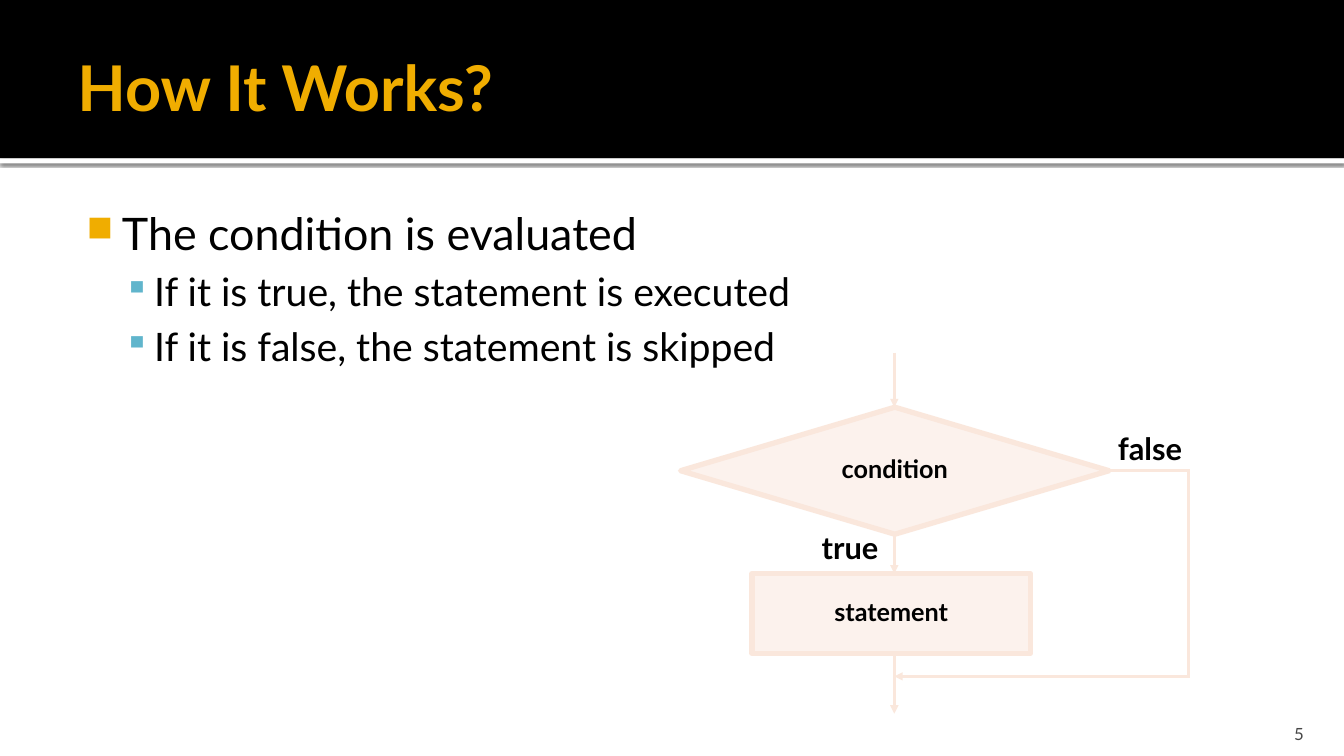
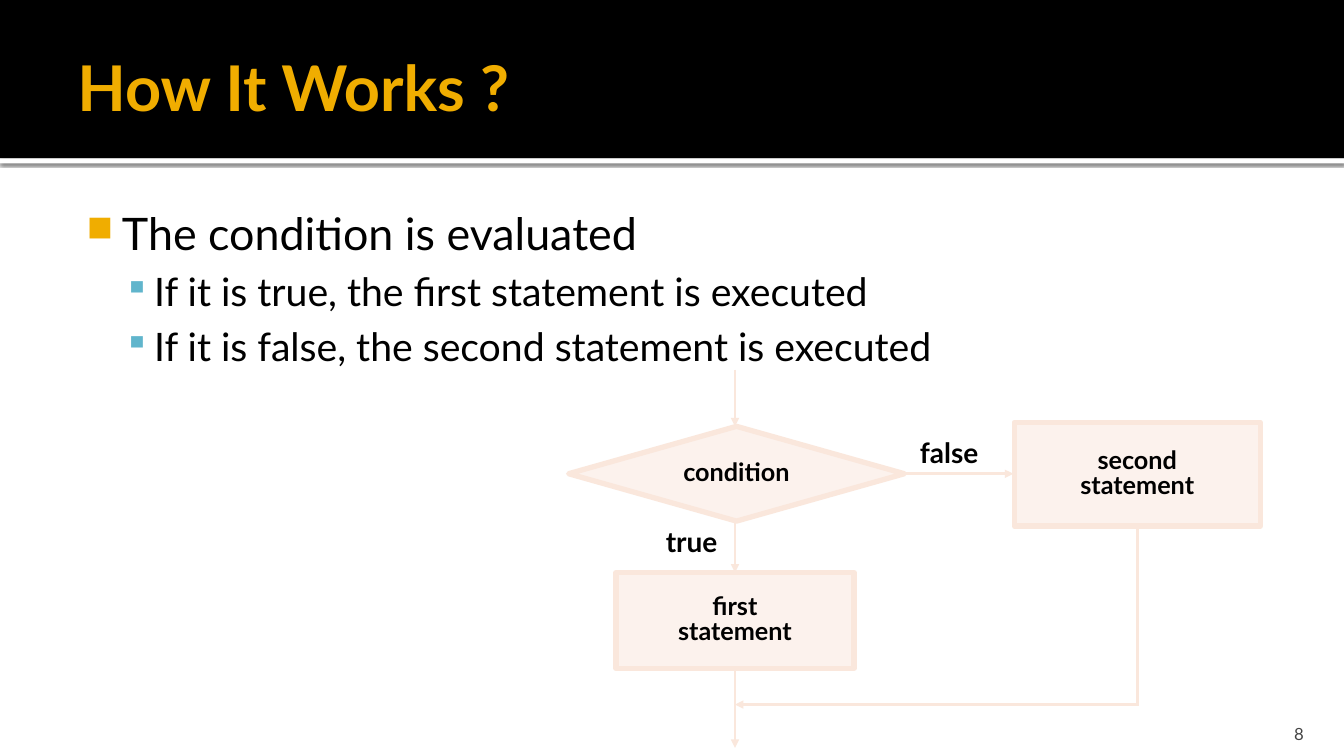
from dataclasses import dataclass
from pptx import Presentation
from pptx.dml.color import RGBColor
from pptx.enum.shapes import MSO_CONNECTOR, MSO_SHAPE
from pptx.enum.text import MSO_ANCHOR, PP_ALIGN
from pptx.oxml import parse_xml
from pptx.oxml.ns import nsdecls, qn
from pptx.util import Inches, Pt


@dataclass(frozen=True)
class Theme:
    font: str = "Lato"
    black: str = "000000"
    white: str = "FFFFFF"
    gold: str = "F0AD00"
    blue: str = "60B5CC"
    peach: str = "FAE7DC"
    gray: str = "454545"
    title: int = 45
    body: int = 32
    sub: int = 28
    node: int = 18
    foot: int = 12
    edge: float = 3.78
    wire: float = 2


theme = Theme()
WIDE = 13.33
BAND = 1.57

# Paragraph formats
HEAD = {"alignment": PP_ALIGN.LEFT}
FOOT = {"alignment": PP_ALIGN.RIGHT}
NODE = {"alignment": PP_ALIGN.CENTER, "line_spacing": 0.85}
SUB = {"alignment": PP_ALIGN.LEFT, "space_before": Pt(theme.sub * 0.2)}

# Bullets by level: margin, indent, colour, size, sign
BULLETS = [(0.48, -0.35, theme.gold, 80, "■"),
           (0.8, -0.3, theme.blue, 90, "▪")]

# Slide content; a flow holds nodes, labels and wires (x1, y1, x2, y2, arrow)
DIAMOND, BOX = MSO_SHAPE.FLOWCHART_DECISION, MSO_SHAPE.RECTANGLE
PAGES = [
    {"title": "How It Works?", "number": "5", "label": 22,
     "points": ["If it is true, the statement is executed",
                "If it is false, the statement is skipped"],
     "nodes": [(DIAMOND, (6.75, 4.04, 4.25, 1.26), ["condition"]),
               (BOX, (7.46, 5.69, 2.76, 0.79), ["statement"])],
     "labels": [("true", (7.92, 5.25, 1.02, 0.42)),
                ("false", (10.93, 4.27, 0.95, 0.42))],
     "wires": [(8.87, 3.5, 8.87, 4.04, True),
               (8.87, 5.3, 8.87, 5.69, True),
               (8.87, 6.48, 8.87, 7.08, True),
               (10.94, 4.67, 11.8, 4.67, False),
               (11.79, 4.67, 11.79, 6.72, False),
               (11.8, 6.71, 8.87, 6.71, True)]},
    {"title": "How It Works ?", "number": "8", "label": 20,
     "points": ["If it is true, the first statement is executed",
                "If it is false, the second statement is executed"],
     "nodes": [(DIAMOND, (5.64, 4.23, 3.33, 0.94), ["condition"]),
               (BOX, (6.11, 5.68, 2.36, 0.95), ["first", "statement"]),
               (BOX, (10.06, 4.19, 2.44, 1.03), ["second", "statement"])],
     "labels": [("true", (6.35, 5.21, 1.02, 0.39)),
                ("false", (9, 4.32, 0.83, 0.39))],
     "wires": [(7.29, 3.67, 7.29, 4.23, True),
               (7.29, 5.17, 7.29, 5.68, True),
               (7.29, 6.64, 7.29, 7.42, True),
               (8.92, 4.7, 10.05, 4.7, True),
               (11.28, 5.22, 11.28, 7, False),
               (11.29, 6.99, 7.29, 6.99, True)]},
]


def block(shapes, kind, place, fill):
    """Add a plain filled shape without line or shadow."""
    shape = shapes.add_shape(kind, *map(Inches, place))
    shape.shadow.inherit = False
    shape.fill.solid()
    shape.fill.fore_color.rgb = RGBColor.from_string(fill)
    shape.line.fill.background()
    return shape


def write(shape, lines, anchor, inset=(0.1, 0.05, 0.1, 0.05)):
    """Fill a shape with lines of (text, size, colour, bold, format)."""
    frame = shape.text_frame
    sides = ("margin_left", "margin_top", "margin_right", "margin_bottom")
    look = dict(zip(sides, map(Inches, inset)))
    look.update(word_wrap=True, vertical_anchor=anchor)
    for name, value in look.items():
        setattr(frame, name, value)
    for i, (text, size, color, bold, form) in enumerate(lines):
        para = frame.add_paragraph() if i else frame.paragraphs[0]
        for name, value in form.items():
            setattr(para, name, value)
        run = para.add_run()
        run.text = text
        face = {"name": theme.font, "size": Pt(size), "bold": bold}
        for name, value in face.items():
            setattr(run.font, name, value)
        run.font.color.rgb = RGBColor.from_string(color)
    return frame


deck = Presentation()
deck.slide_width, deck.slide_height = Inches(WIDE), Inches(7.5)

for page in PAGES:
    shapes = deck.slides.add_slide(deck.slide_layouts[6]).shapes

    # Title band with a shaded white rule
    rule = block(shapes, BOX, (0, BAND, WIDE, 0.05), theme.white)
    rule.element.spPr.find(qn("a:effectLst")).append(parse_xml(
        f'<a:outerShdw {nsdecls("a")} blurRad="{Pt(2.5)}" dist="{Pt(0.8)}" '
        f'dir="5400000" algn="tl" rotWithShape="0">'
        f'<a:srgbClr val="{theme.black}"><a:alpha val="60000"/></a:srgbClr>'
        f'</a:outerShdw>'))
    block(shapes, BOX, (0, 0, WIDE, BAND), theme.black)
    title = shapes.add_textbox(*map(Inches, (0.67, 0.17, 9.17, 1.37)))
    write(title, [(page["title"], theme.title, theme.gold, True, HEAD)],
          MSO_ANCHOR.MIDDLE, (0.1, 0.05, 0.05, 0.05))

    # Bulleted text
    lines = [("The condition is evaluated", theme.body, theme.black, False, HEAD)]
    lines += [(text, theme.sub, theme.black, False, SUB) for text in page["points"]]
    body = shapes.add_textbox(*map(Inches, (0.67, 1.94, 12, 5.06)))
    frame = write(body, lines, MSO_ANCHOR.TOP, (0.06, 0.1, 0.1, 0.05))
    for i, para in enumerate(frame.paragraphs):
        margin, indent, color, size, sign = BULLETS[min(i, 1)]
        para.level = min(i, 1)
        props = para._p.get_or_add_pPr()
        props.set("marL", str(Inches(margin)))
        props.set("indent", str(Inches(indent)))
        for part in (f'<a:buClr {nsdecls("a")}><a:srgbClr val="{color}"/></a:buClr>',
                     f'<a:buSzPct {nsdecls("a")} val="{size * 1000}"/>',
                     f'<a:buChar {nsdecls("a")} char="{sign}"/>'):
            props.append(parse_xml(part))

    # Page number
    foot = shapes.add_textbox(*map(Inches, (11.96, 7.08, 1.07, 0.3)))
    write(foot, [(page["number"], theme.foot, theme.gray, False, FOOT)],
          MSO_ANCHOR.BOTTOM, (0.1, 0.05, 0.1, 0))

    # Flow nodes, half clear
    for kind, place, words in page["nodes"]:
        node = block(shapes, kind, place, theme.peach)
        node.element.spPr.find(qn("a:solidFill"))[0].append(
            parse_xml(f'<a:alpha {nsdecls("a")} val="50000"/>'))
        node.line.color.rgb = RGBColor.from_string(theme.peach)
        node.line.width = Pt(theme.edge)
        write(node, [(word, theme.node, theme.black, True, NODE) for word in words],
              MSO_ANCHOR.MIDDLE)

    # Flow wires
    for x1, y1, x2, y2, arrow in page["wires"]:
        wire = shapes.add_connector(MSO_CONNECTOR.STRAIGHT,
                                    *map(Inches, (x1, y1, x2, y2)))
        wire.line.color.rgb = RGBColor.from_string(theme.peach)
        wire.line.width = Pt(theme.wire)
        if arrow:
            wire.line._get_or_add_ln().append(
                parse_xml(f'<a:tailEnd {nsdecls("a")} type="triangle"/>'))
        wire._element.spPr.append(parse_xml(f'<a:effectLst {nsdecls("a")}/>'))

    # Branch labels
    for text, place in page["labels"]:
        label = shapes.add_textbox(*map(Inches, place))
        write(label, [(text, page["label"], theme.black, True, NODE)], MSO_ANCHOR.TOP)

deck.save("out.pptx")
